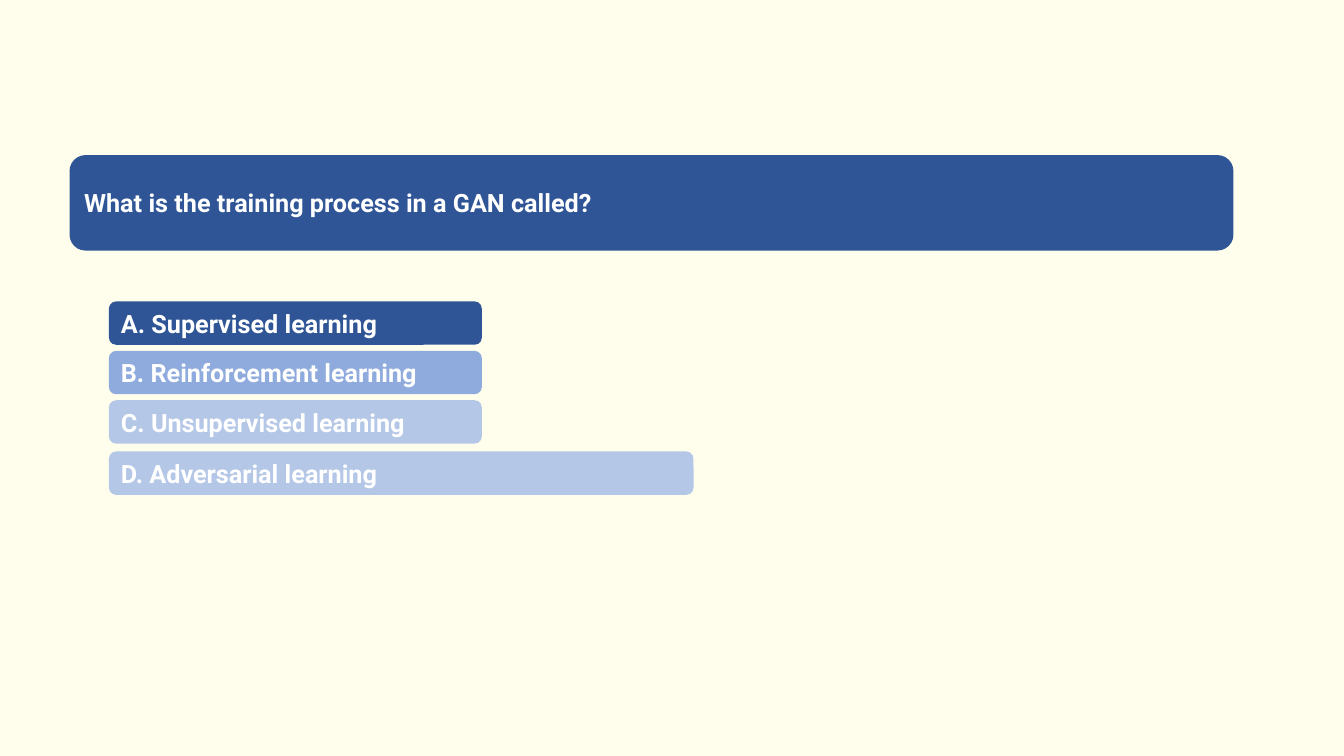
from dataclasses import dataclass

import pptx
from pptx.dml.color import RGBColor
from pptx.enum.shapes import MSO_SHAPE
from pptx.enum.text import MSO_ANCHOR, PP_ALIGN
from pptx.util import Pt


@dataclass(frozen=True)
class Theme:
    background: str = "FFFEED"
    dark_blue: str = "2F5597"
    mid_blue: str = "8FAADC"
    light_blue: str = "B4C7E7"
    text: str = "FFFFFF"
    font: str = "Roboto"
    text_size: float = 18


THEME = Theme()

QUESTION = "What is the training process in a GAN called?"
OPTION_LEFT = 77.8
OPTION_HEIGHT = 31

# Text, top, width, fill
OPTIONS = [
    ("A. Supervised learning", 215.3, 266.4, THEME.dark_blue),
    ("B. Reinforcement learning", 250.6, 266.4, THEME.mid_blue),
    ("C. Unsupervised learning", 285.9, 266.4, THEME.light_blue),
    ("D. Adversarial learning", 322.5, 417.6, THEME.light_blue),
]


def set_background(slide, color):
    fill = slide.background.fill
    fill.solid()
    fill.fore_color.rgb = RGBColor.from_string(color)


def add_label_box(slide, text, left, top, width, height, color):
    """Add a borderless rounded box with bold, left-aligned text."""
    shape = slide.shapes.add_shape(
        MSO_SHAPE.ROUNDED_RECTANGLE, Pt(left), Pt(top), Pt(width), Pt(height)
    )
    shape.shadow.inherit = False
    shape.fill.solid()
    shape.fill.fore_color.rgb = RGBColor.from_string(color)
    shape.line.fill.background()

    text_frame = shape.text_frame
    text_frame.word_wrap = True
    text_frame.vertical_anchor = MSO_ANCHOR.MIDDLE
    paragraph = text_frame.paragraphs[0]
    paragraph.text = text
    paragraph.alignment = PP_ALIGN.LEFT
    paragraph.font.name = THEME.font
    paragraph.font.size = Pt(THEME.text_size)
    paragraph.font.bold = True
    paragraph.font.color.rgb = RGBColor.from_string(THEME.text)


def main():
    presentation = pptx.Presentation()
    presentation.slide_width = Pt(960)
    presentation.slide_height = Pt(540)
    slide = presentation.slides.add_slide(presentation.slide_layouts[6])

    set_background(slide, THEME.background)
    add_label_box(slide, QUESTION, 49.7, 110.8, 831.4, 68.2, THEME.dark_blue)
    for text, top, width, color in OPTIONS:
        add_label_box(slide, text, OPTION_LEFT, top, width, OPTION_HEIGHT, color)

    presentation.save("out.pptx")


if __name__ == "__main__":
    main()
